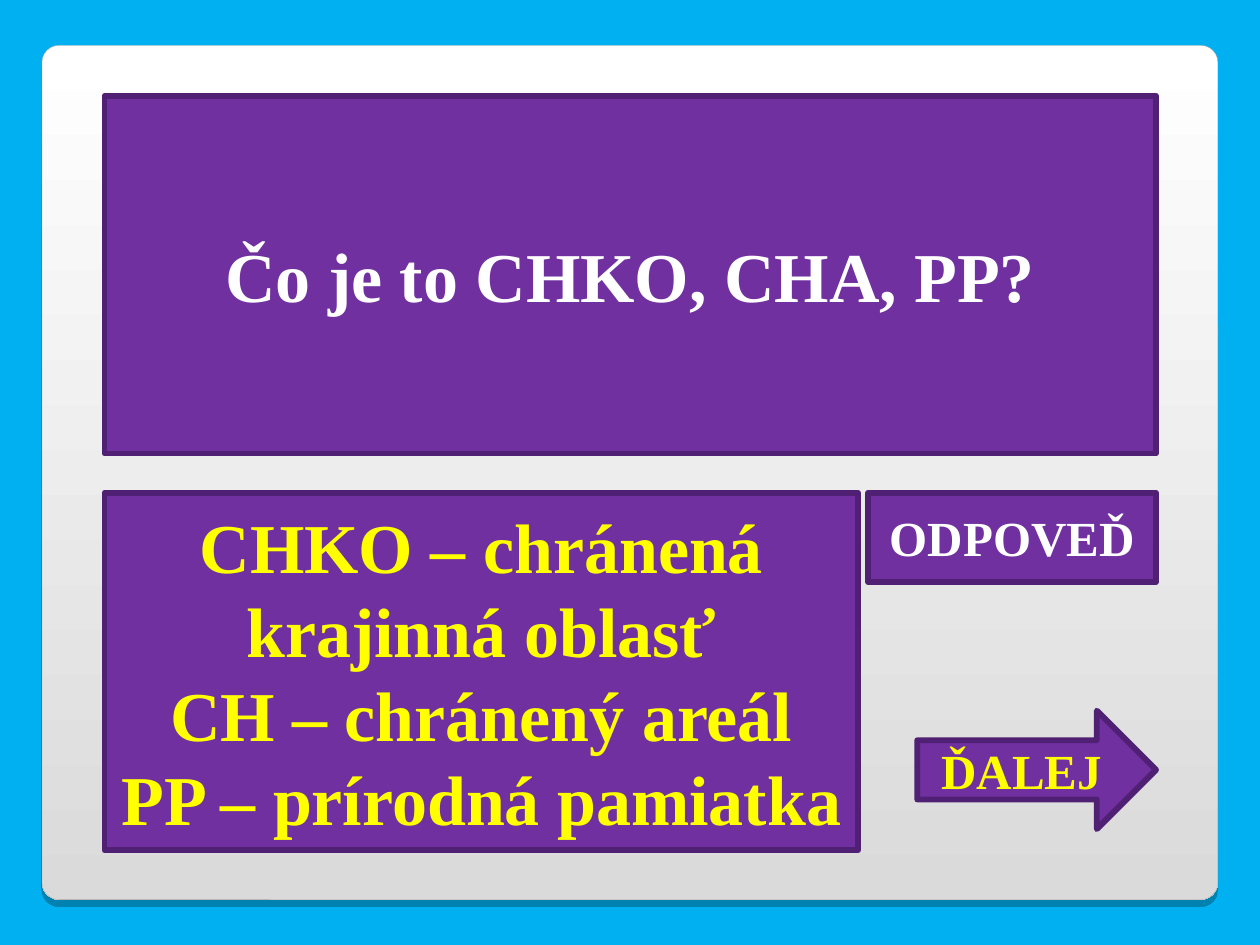
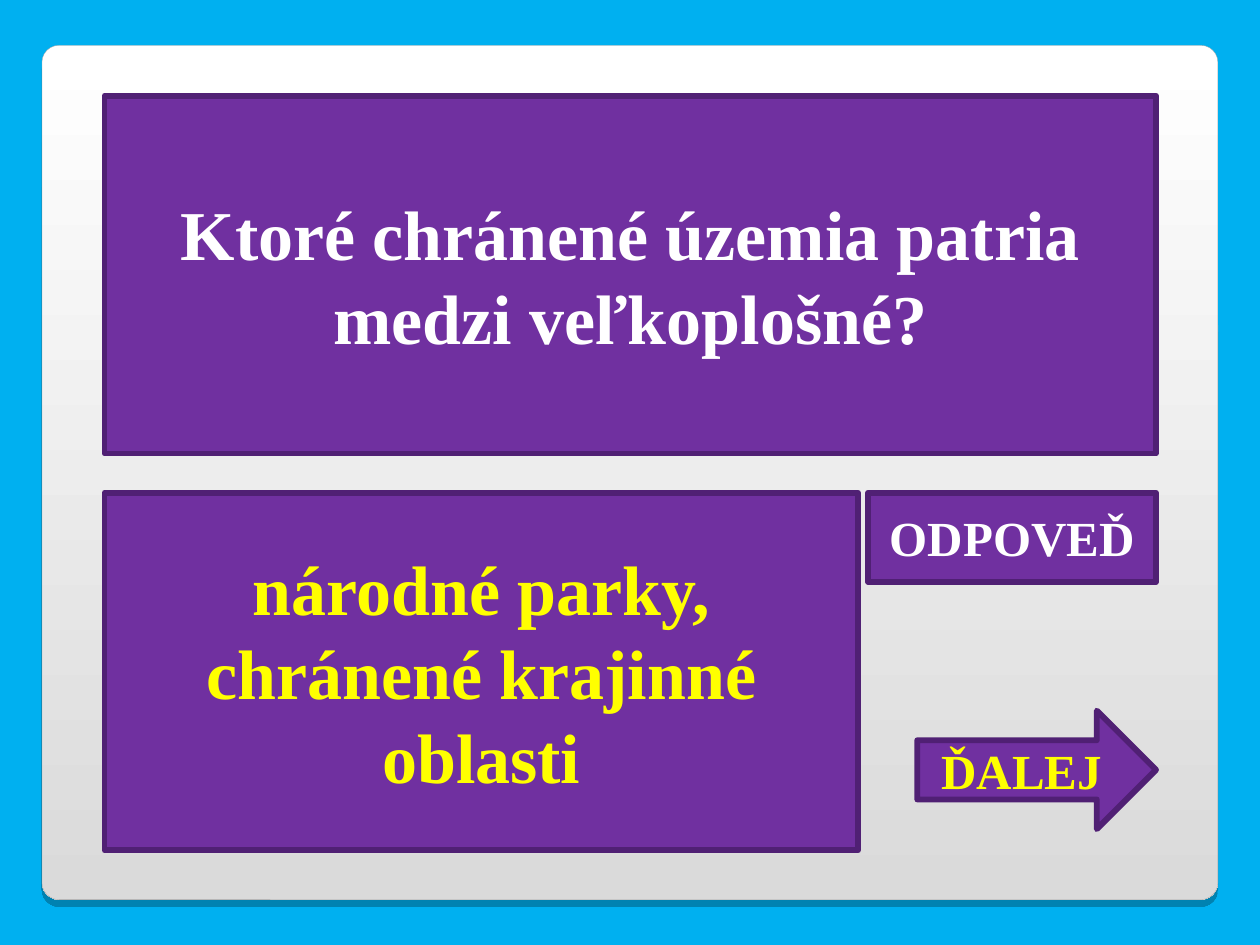
from dataclasses import dataclass

import pptx
import pptx.util
from lxml import etree
from pptx.dml.color import RGBColor
from pptx.enum.shapes import MSO_SHAPE
from pptx.enum.text import MSO_ANCHOR, PP_ALIGN
from pptx.oxml.ns import qn


@dataclass(frozen=True)
class Theme:
    sky: str = "00B0F0"
    panel_top: str = "FFFFFF"
    panel_bottom: str = "DADADA"
    panel_edge: str = "A4A3A3"
    purple: str = "7030A0"
    purple_edge: str = "502074"
    question: str = "FFFFFF"
    answer: str = "FFFF00"
    font: str = "Times New Roman"
    large: int = 40
    small: int = 28
    edge_width: float = 3.34
    panel_edge_width: float = 0.17


THEME = Theme()
SLIDE_WIDTH = pptx.util.Inches(10)
SLIDE_HEIGHT = pptx.util.Inches(7.5)

# Shares of the slide's width and height, in percent
LEFT, RIGHT = 8.3, 91.75
QUESTION_TOP, ANSWER_TOP = 10.13, 52.13
CARD_HEIGHT = 37.87
ANSWER_WIDTH = 59.8
BUTTON_WIDTH, BUTTON_HEIGHT = 22.85, 9.47
ARROW_TOP, ARROW_WIDTH, ARROW_HEIGHT = 75.2, 18.95, 12.53

QUIZ = [
    ("Čo je to CHKO, CHA, PP?",
     ["CHKO – chránená krajinná oblasť",
      "CH – chránený areál",
      "PP – prírodná pamiatka"]),
    ("Ktoré chránené územia patria medzi veľkoplošné?",
     ["národné parky, chránené krajinné oblasti"]),
]


def color(value):
    return RGBColor.from_string(value)


def apply_format(target, values):
    for name, value in values.items():
        setattr(target, name, value)


def add_outlined(slide, preset, area, edge, edge_width):
    """Add a preset shape; area is left, top, width, height in percent."""
    left, top, width, height = area
    shape = slide.shapes.add_shape(
        preset,
        int(SLIDE_WIDTH * left / 100), int(SLIDE_HEIGHT * top / 100),
        int(SLIDE_WIDTH * width / 100), int(SLIDE_HEIGHT * height / 100))
    shape.shadow.inherit = False
    shape.line.color.rgb = color(edge)
    shape.line.width = pptx.util.Pt(edge_width)
    return shape


def add_drop_shadow(shape, distance, opacity):
    effects = shape._element.spPr.find(qn("a:effectLst"))
    shadow = etree.SubElement(
        effects, qn("a:outerShdw"), blurRad="0",
        dist=str(pptx.util.Pt(distance)), dir=str(90 * 60000),
        algn="tl", rotWithShape="0")
    black = etree.SubElement(shadow, qn("a:srgbClr"), val="000000")
    etree.SubElement(black, qn("a:alpha"), val=str(opacity * 1000))


def add_panel(slide):
    """Colour the slide and lay the rounded grey panel on it."""
    backdrop = slide.background.fill
    backdrop.solid()
    backdrop.fore_color.rgb = color(THEME.sky)
    panel = add_outlined(slide, MSO_SHAPE.ROUNDED_RECTANGLE,
                         (3.33, 4.8, 93.33, 90.4),
                         THEME.panel_edge, THEME.panel_edge_width)
    panel.adjustments[0] = 0.02
    panel.fill.gradient()
    panel.fill.gradient_angle = 270
    shades = (THEME.panel_top, THEME.panel_bottom)
    for position, (stop, shade) in enumerate(
            zip(panel.fill.gradient_stops, shades)):
        stop.position = position
        stop.color.rgb = color(shade)
    add_drop_shadow(panel, distance=4, opacity=25)


def add_card(slide, area, lines, size, text_color, preset=MSO_SHAPE.RECTANGLE):
    card = add_outlined(slide, preset, area,
                        THEME.purple_edge, THEME.edge_width)
    card.fill.solid()
    card.fill.fore_color.rgb = color(THEME.purple)
    frame = card.text_frame
    apply_format(frame, {"word_wrap": True,
                         "vertical_anchor": MSO_ANCHOR.MIDDLE})
    for index, line in enumerate(lines):
        paragraph = frame.add_paragraph() if index else frame.paragraphs[0]
        paragraph.alignment = PP_ALIGN.CENTER
        run = paragraph.add_run()
        run.text = line
        apply_format(run.font, {"name": THEME.font, "bold": True,
                                "size": pptx.util.Pt(size)})
        run.font.color.rgb = color(text_color)


def add_quiz_slide(prs, question, answer):
    slide = prs.slides.add_slide(prs.slide_layouts[6])
    add_panel(slide)
    add_card(slide, (LEFT, QUESTION_TOP, RIGHT - LEFT, CARD_HEIGHT),
             [question], THEME.large, THEME.question)
    add_card(slide, (LEFT, ANSWER_TOP, ANSWER_WIDTH, CARD_HEIGHT),
             answer, THEME.large, THEME.answer)
    add_card(slide,
             (RIGHT - BUTTON_WIDTH, ANSWER_TOP, BUTTON_WIDTH, BUTTON_HEIGHT),
             ["ODPOVEĎ"], THEME.small, THEME.question)
    add_card(slide,
             (RIGHT - ARROW_WIDTH, ARROW_TOP, ARROW_WIDTH, ARROW_HEIGHT),
             ["ĎALEJ"], THEME.small, THEME.answer, MSO_SHAPE.RIGHT_ARROW)


def main():
    prs = pptx.Presentation()
    apply_format(prs, {"slide_width": SLIDE_WIDTH,
                       "slide_height": SLIDE_HEIGHT})
    for question, answer in QUIZ:
        add_quiz_slide(prs, question, answer)
    prs.save("out.pptx")


if __name__ == "__main__":
    main()
